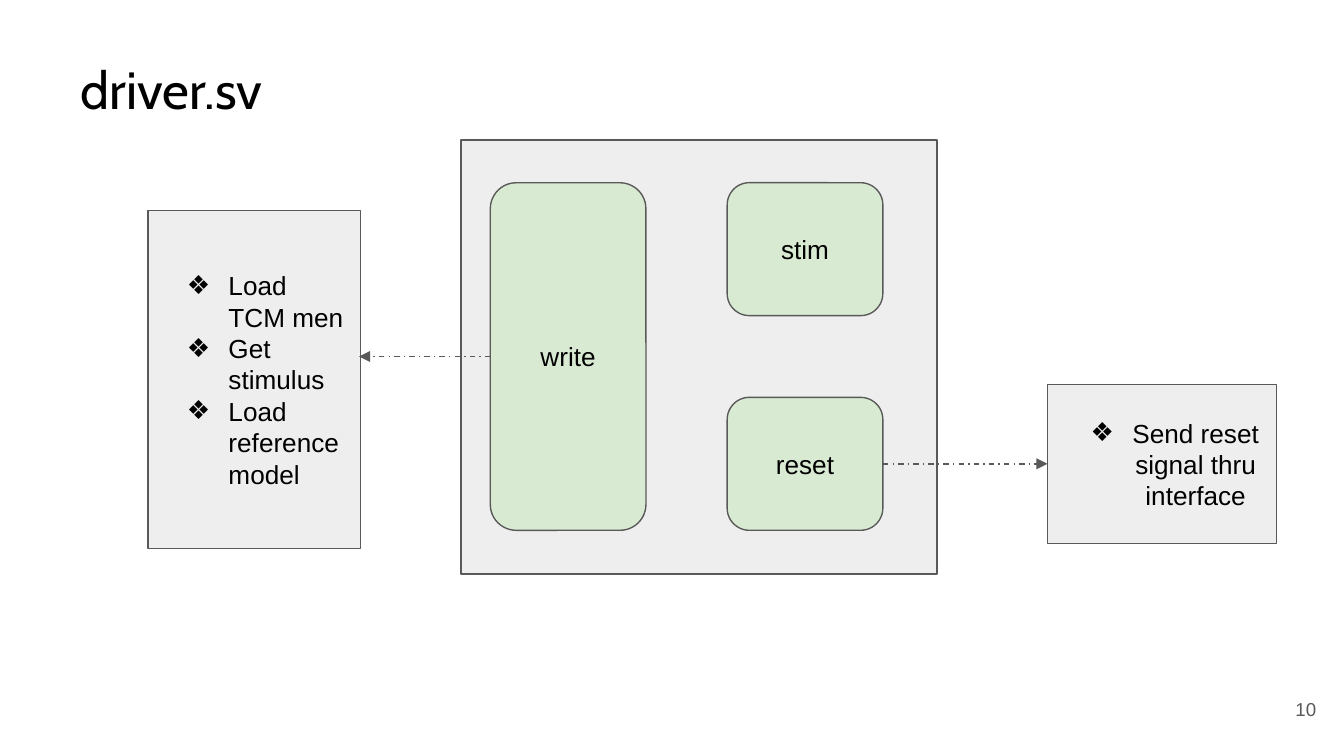
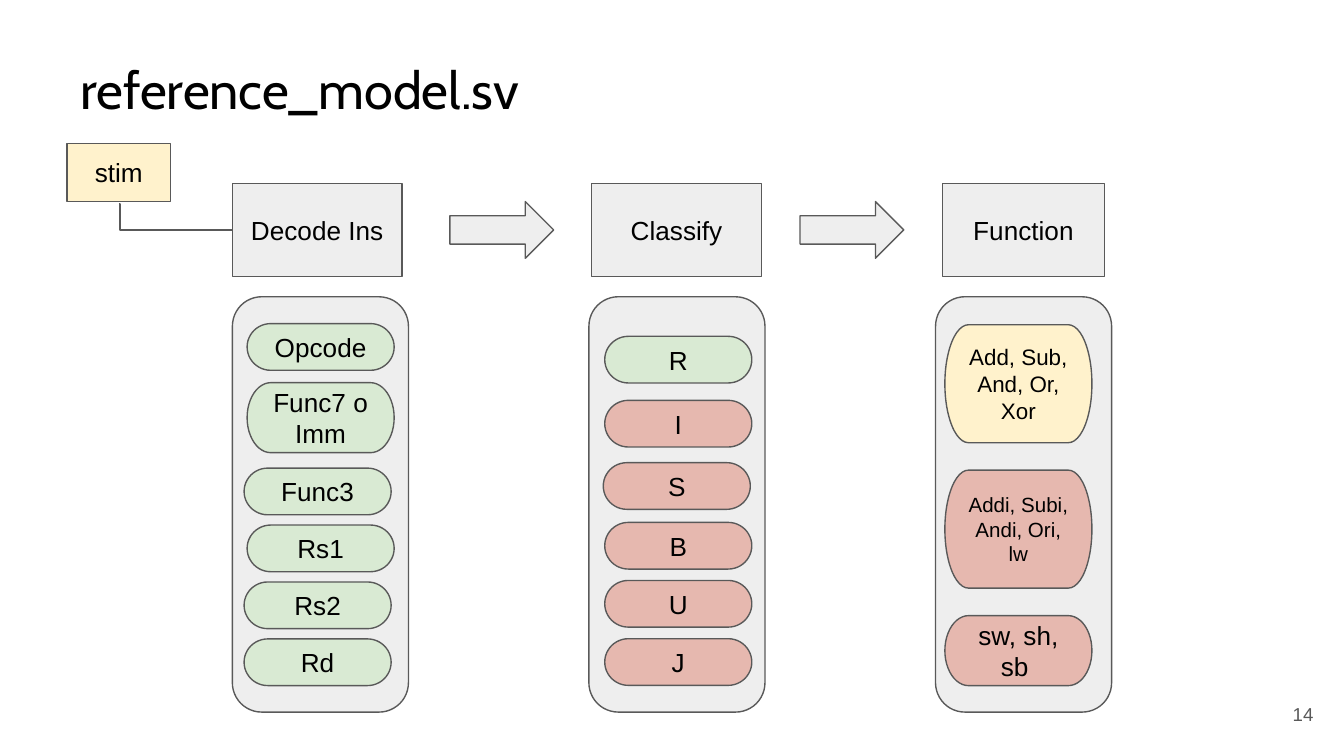
from dataclasses import dataclass

from lxml import etree
from pptx import Presentation
from pptx.dml.color import RGBColor
from pptx.enum.dml import MSO_LINE
from pptx.enum.shapes import MSO_CONNECTOR, MSO_SHAPE
from pptx.enum.text import MSO_ANCHOR, MSO_AUTO_SIZE, PP_ALIGN
from pptx.oxml.ns import qn
from pptx.util import Pt

RECT = MSO_SHAPE.RECTANGLE
ROUNDED = MSO_SHAPE.ROUNDED_RECTANGLE
ARROW = MSO_SHAPE.RIGHT_ARROW
PILL = MSO_SHAPE.FLOWCHART_TERMINATOR
STRAIGHT, ELBOW = MSO_CONNECTOR.STRAIGHT, MSO_CONNECTOR.ELBOW
LEFT, CENTER, RIGHT = PP_ALIGN.LEFT, PP_ALIGN.CENTER, PP_ALIGN.RIGHT
MIDDLE, NO_FIT = MSO_ANCHOR.MIDDLE, MSO_AUTO_SIZE.NONE
DASH_DOT = MSO_LINE.DASH_DOT

TWO_CONTENT, TITLE_ONLY = 3, 5  # template layouts


@dataclass(frozen=True)
class Theme:
    gray: str = "EEEEEE"
    green: str = "D9EAD3"
    red: str = "E6B8AF"
    yellow: str = "FFF2CC"
    line: str = "595959"
    text: str = "000000"
    title_font: str = "Cabin"
    font: str = "Arial"
    title_size: float = 28
    size: float = 14
    medium: float = 12
    small: float = 11
    number_size: float = 10
    line_width: float = 0.75
    inset: float = 7.2


class Deck:
    """Holds the theme and the slide being built."""

    def __init__(self, theme):
        self.t = theme
        self.prs = Presentation()
        self.prs.slide_width, self.prs.slide_height = Pt(720), Pt(405)
        self.s = None

    def slide(self, layout, title, number, number_at):
        self.s = self.prs.slides.add_slide(self.prs.slide_layouts[layout])
        sp = self.s.shapes.title
        self.place(sp, 36, 32.4, 339, 30.2)
        self.set_text(sp, title, self.t.title_size, LEFT, font=self.t.title_font)
        sp = self.s.shapes.add_textbox(*map(Pt, (*number_at, 43.2, 31)))
        self.set_text(sp, number, self.t.number_size, RIGHT, self.t.line)

    def place(self, sp, x, y, w, h):
        sp.left, sp.top, sp.width, sp.height = map(Pt, (x, y, w, h))

    def set_text(self, sp, text, size, align, color=None, font=None):
        tf = sp.text_frame
        tf.text = text
        tf.word_wrap = True
        tf.auto_size = NO_FIT
        tf.vertical_anchor = MIDDLE
        tf.margin_left = tf.margin_right = Pt(self.t.inset)
        tf.margin_top = tf.margin_bottom = Pt(self.t.inset)
        for p in tf.paragraphs:
            p.alignment = align
            p.space_before = Pt(0)
            for r in p.runs:
                r.font.name = font or self.t.font
                r.font.size = Pt(size)
                r.font.color.rgb = RGBColor.from_string(color or self.t.text)

    def outline(self, sp):
        sp.line.color.rgb = RGBColor.from_string(self.t.line)
        sp.line.width = Pt(self.t.line_width)

    def paint(self, sp, fill):
        sp.fill.solid()
        sp.fill.fore_color.rgb = RGBColor.from_string(fill)
        self.outline(sp)

    def box(self, kind, x, y, w, h, fill, text="", size=None):
        sp = self.s.shapes.add_shape(kind, *map(Pt, (x, y, w, h)))
        sp.shadow.inherit = False
        self.paint(sp, fill)
        if text:
            self.set_text(sp, text, size or self.t.size, CENTER)

    def bullets(self, idx, x, y, w, h, items, align=LEFT):
        sp = self.s.placeholders[idx]
        self.place(sp, x, y, w, h)
        self.paint(sp, self.t.gray)
        self.set_text(sp, "\n".join(items), self.t.size, align)
        for p in sp.text_frame.paragraphs:
            pPr = p._p.get_or_add_pPr()
            pPr.set("marL", str(Pt(36)))
            pPr.set("indent", str(Pt(-22.3)))
            clr = etree.SubElement(pPr, qn("a:buClr"))
            etree.SubElement(clr, qn("a:srgbClr"), val=self.t.text)
            etree.SubElement(pPr, qn("a:buFont"), typeface=self.t.font)
            etree.SubElement(pPr, qn("a:buChar"), char="❖")

    def connect(self, kind, x1, y1, x2, y2):
        c = self.s.shapes.add_connector(kind, *map(Pt, (x1, y1, x2, y2)))
        self.outline(c)
        etree.SubElement(c._element.spPr, qn("a:effectLst"))
        return c

    def dashed_arrow(self, x1, x2, y):
        c = self.connect(STRAIGHT, x1, y, x2, y)
        c.line.dash_style = DASH_DOT
        ln = c._element.spPr.find(qn("a:ln"))
        etree.SubElement(ln, qn("a:tailEnd"), type="triangle")

    def elbow(self, x1, y1, x2, y2, bend):
        c = self.connect(ELBOW, x1, y1, x2, y2)
        geom = c._element.spPr.find(qn("a:prstGeom"))
        etree.SubElement(geom.find(qn("a:avLst")), qn("a:gd"),
                         name="adj1", fmla=f"val {bend}")

    def pills(self, x, w, rows):
        for dx, y, h, fill, text, size in rows:
            self.box(PILL, x + dx, y, w, h, fill, text, size)


def driver_slide(d):
    t = d.t
    d.slide(TWO_CONTENT, "driver.sv", "10", (669, 364.5))

    # Tasks inside the driver
    d.box(RECT, 247, 75, 255, 232.5, t.gray)
    d.box(ROUNDED, 262.7, 97.9, 83.4, 186.2, t.green, "write")
    for y, text in ((97.9, "stim"), (212.9, "reset")):
        d.box(ROUNDED, 389.6, y, 83.4, 71.2, t.green, text)

    # What the tasks do
    d.bullets(1, 79.2, 112.8, 114, 181,
              ["Load TCM men", "Get stimulus", "Load reference model"])
    d.bullets(2, 561.2, 206.1, 122.7, 85,
              ["Send reset signal thru interface"], CENTER)
    d.dashed_arrow(262.7, 192.4, 191)
    d.dashed_arrow(473, 561.2, 248.5)


def reference_model_slide(d):
    t = d.t
    d.slide(TITLE_ONLY, "reference_model.sv", "14", (667.5, 367.2))

    # Stages and the arrows between them
    for x, w, text in ((124.5, 91, "Decode Ins"), (317, 91, "Classify"),
                       (504.8, 87, "Function")):
        d.box(RECT, x, 98.4, w, 49.8, t.gray, text)
    for x in (241, 428.6):
        d.box(ARROW, x, 108, 55.6, 30.4, t.gray)
    for x in (124.5, 315.5, 501.2):
        d.box(ROUNDED, x, 159, 94.3, 222.5, t.gray)

    # Pills: x offset, top, height, fill, text, size
    low, mid, tall, w = 25, 37.5, 63.2, 78.8
    d.pills(130.8, w, [
        (1.6, 173.4, low, t.green, "Opcode", t.size),
        (1.6, 205, mid, t.green, "Func7 o Imm", t.size),
        *((dx, 250.8 + 30.5 * i, low, t.green, text, t.size)
          for i, (dx, text) in enumerate(
              [(0, "Func3"), (1.6, "Rs1"), (0, "Rs2"), (0, "Rd")]))])
    types = zip("RISBUJ", (180.2, 214.5, 247.9, 279.9, 311, 342.2))
    d.pills(323.2, w, [
        (0 if text == "S" else 0.8, y, low,
         t.green if text == "R" else t.red, text, t.size)
        for text, y in types])
    operations = [(tall, t.yellow, "Add, Sub, And, Or, Xor", t.medium),
                  (tall, t.red, "Addi, Subi, Andi, Ori, lw", t.small),
                  (mid, t.red, "sw, sh, sb ", t.size)]
    d.pills(506.2, w, [(0, 174 + 77.9 * i, *row)
                       for i, row in enumerate(operations)])

    # Stimulus input
    d.box(RECT, 36, 76.8, 55.4, 31.2, t.yellow, "stim")
    d.elbow(63.7, 109.2, 124.5, 123.3, 900)


def main():
    d = Deck(Theme())
    driver_slide(d)
    reference_model_slide(d)
    d.prs.save("out.pptx")


if __name__ == "__main__":
    main()
